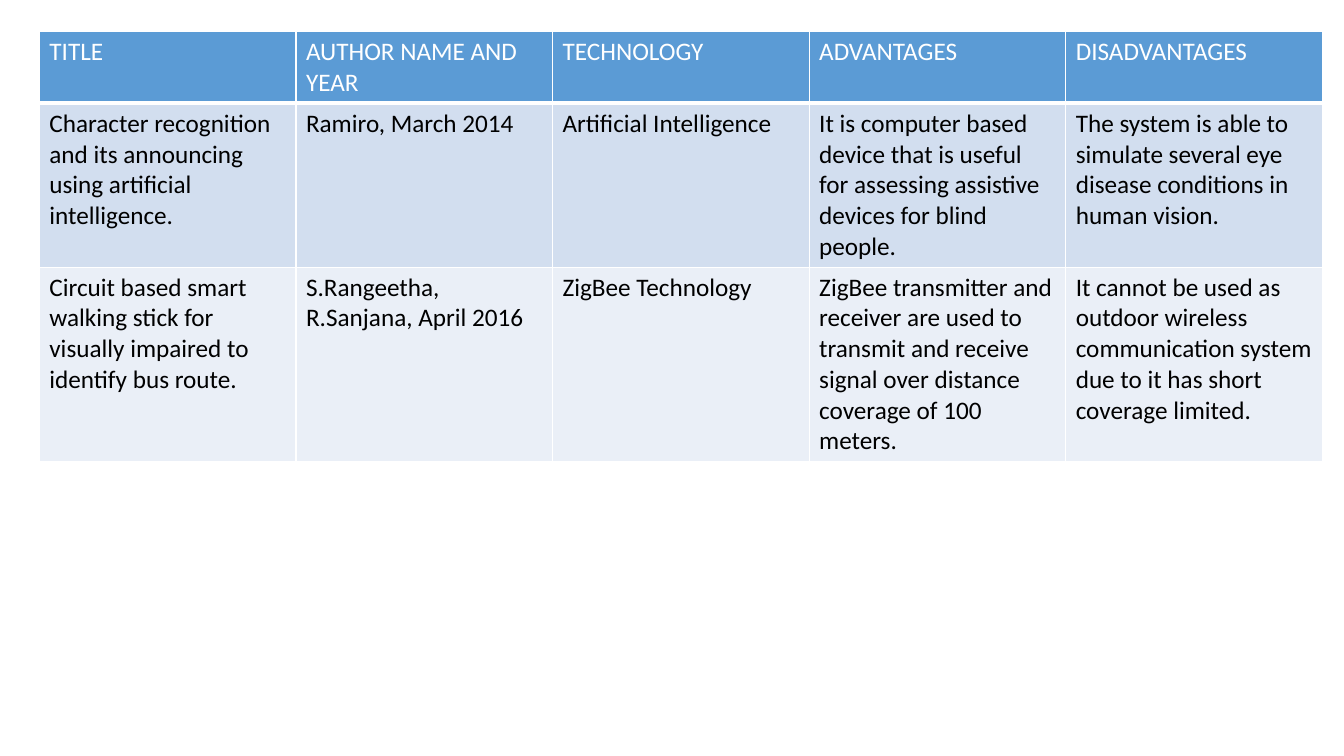
import dataclasses

import lxml.etree
import pptx
import pptx.dml.color
import pptx.oxml.ns
import pptx.slide
import pptx.table
import pptx.util

Pt = pptx.util.Pt


@dataclasses.dataclass(frozen=True)
class Theme:
    font: str = "Calibri"
    text_size: float = 18
    header_fill: str = "5B9BD5"
    header_text: str = "FFFFFF"
    body_text: str = "000000"
    band_fills: tuple[str, str] = ("D2DEEF", "EAEFF7")
    border: str = "FFFFFF"
    border_width: float = 1
    header_rule_width: float = 3


@dataclasses.dataclass(frozen=True)
class TableRow:
    texts: tuple[str, ...]
    fill: str
    text_color: str
    bottom_width: float


THEME = Theme()
BLANK_LAYOUT = 6
SLIDE_WIDTH, SLIDE_HEIGHT = 960, 540
TABLE_LEFT, TABLE_TOP = 28.1, 22.6
COLUMN_WIDTH, ROW_HEIGHT = 183.3, 50.4
TABLE_HEIGHT = 302.4

HEADINGS = ("TITLE", "AUTHOR NAME AND YEAR", "TECHNOLOGY", "ADVANTAGES", "DISADVANTAGES")
STUDIES = (
    (
        "Character recognition and its announcing using artificial intelligence.",
        "Ramiro, March 2014",
        "Artificial Intelligence",
        "It is computer based device that is useful for assessing assistive devices for blind people.",
        "The system is able to simulate several eye disease conditions in human vision.",
    ),
    (
        "Circuit based smart walking stick for visually impaired to identify bus route.",
        "S.Rangeetha, R.Sanjana, April 2016",
        "ZigBee Technology",
        "ZigBee transmitter and receiver are used to transmit and receive signal over distance "
        "coverage of 100 meters.",
        "It cannot be used as outdoor wireless communication system due to it has short coverage limited.",
    ),
)


def rgb(color: str) -> pptx.dml.color.RGBColor:
    return pptx.dml.color.RGBColor.from_string(color)


def set_borders(cell: pptx.table._Cell, bottom_width: float) -> None:
    """Add the four edges ahead of the fill, as the schema orders them."""
    qn = pptx.oxml.ns.qn
    properties = cell._tc.get_or_add_tcPr()
    widths = {"lnL": THEME.border_width, "lnR": THEME.border_width,
              "lnT": THEME.border_width, "lnB": bottom_width}
    for position, (edge, width) in enumerate(widths.items()):
        line = lxml.etree.Element(qn(f"a:{edge}"), w=str(Pt(width)))
        fill = lxml.etree.SubElement(line, qn("a:solidFill"))
        lxml.etree.SubElement(fill, qn("a:srgbClr"), val=THEME.border)
        properties.insert(position, line)


def format_cell(cell: pptx.table._Cell, text: str, row: TableRow) -> None:
    cell.text_frame.text = text
    cell.fill.solid()
    cell.fill.fore_color.rgb = rgb(row.fill)
    font = cell.text_frame.paragraphs[0].runs[0].font
    font.name = THEME.font
    font.size = Pt(THEME.text_size)
    font.bold = False
    font.color.rgb = rgb(row.text_color)
    set_borders(cell, row.bottom_width)


def add_study_table(slide: pptx.slide.Slide, rows: list[TableRow]) -> None:
    shape = slide.shapes.add_table(
        len(rows), len(HEADINGS), Pt(TABLE_LEFT), Pt(TABLE_TOP),
        Pt(COLUMN_WIDTH * len(HEADINGS)), Pt(TABLE_HEIGHT),
    )
    table = shape.table
    for column in table.columns:
        column.width = Pt(COLUMN_WIDTH)
    for row, table_row in zip(rows, table.rows):
        table_row.height = Pt(ROW_HEIGHT)
        for text, cell in zip(row.texts, table_row.cells):
            format_cell(cell, text, row)
    shape.height = Pt(TABLE_HEIGHT)


def main() -> None:
    presentation = pptx.Presentation()
    presentation.slide_width = Pt(SLIDE_WIDTH)
    presentation.slide_height = Pt(SLIDE_HEIGHT)
    slide = presentation.slides.add_slide(presentation.slide_layouts[BLANK_LAYOUT])

    header = TableRow(HEADINGS, THEME.header_fill, THEME.header_text, THEME.header_rule_width)
    studies = [
        TableRow(texts, fill, THEME.body_text, THEME.border_width)
        for texts, fill in zip(STUDIES, THEME.band_fills)
    ]
    add_study_table(slide, [header, *studies])
    presentation.save("out.pptx")


if __name__ == "__main__":
    main()
